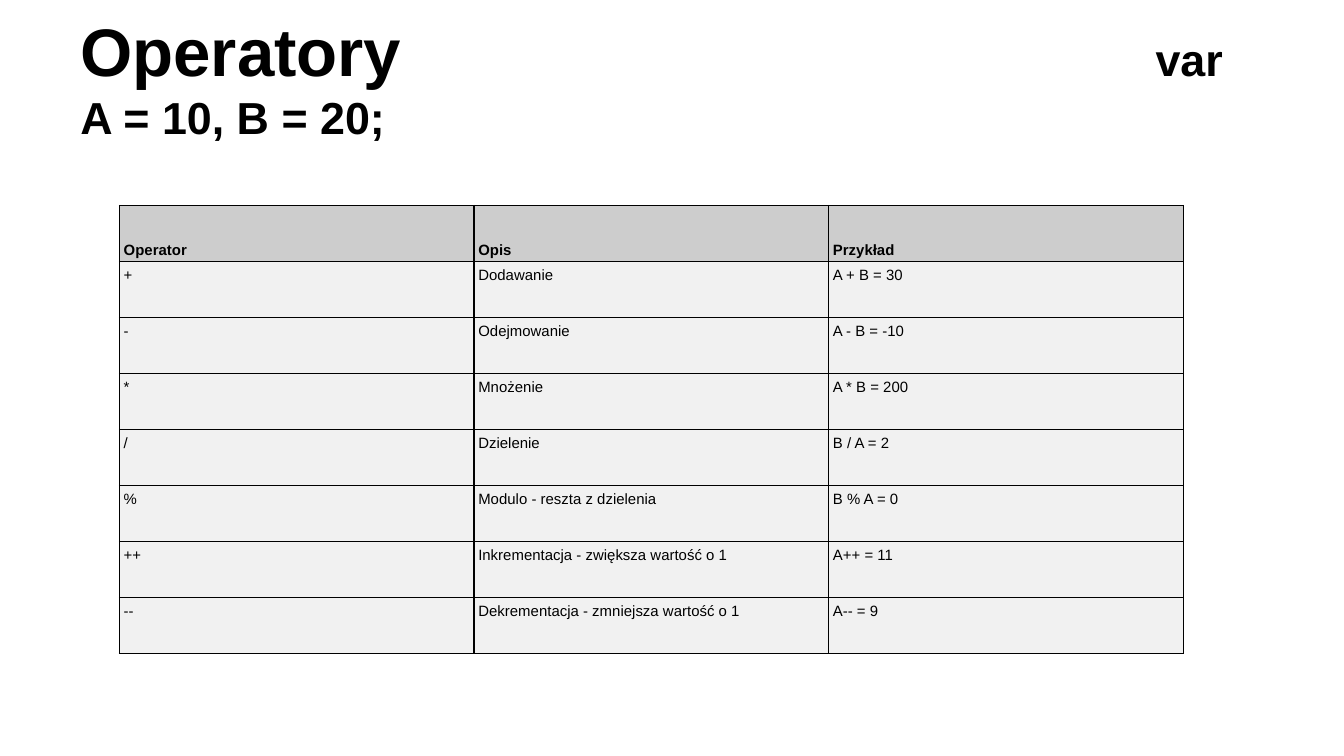
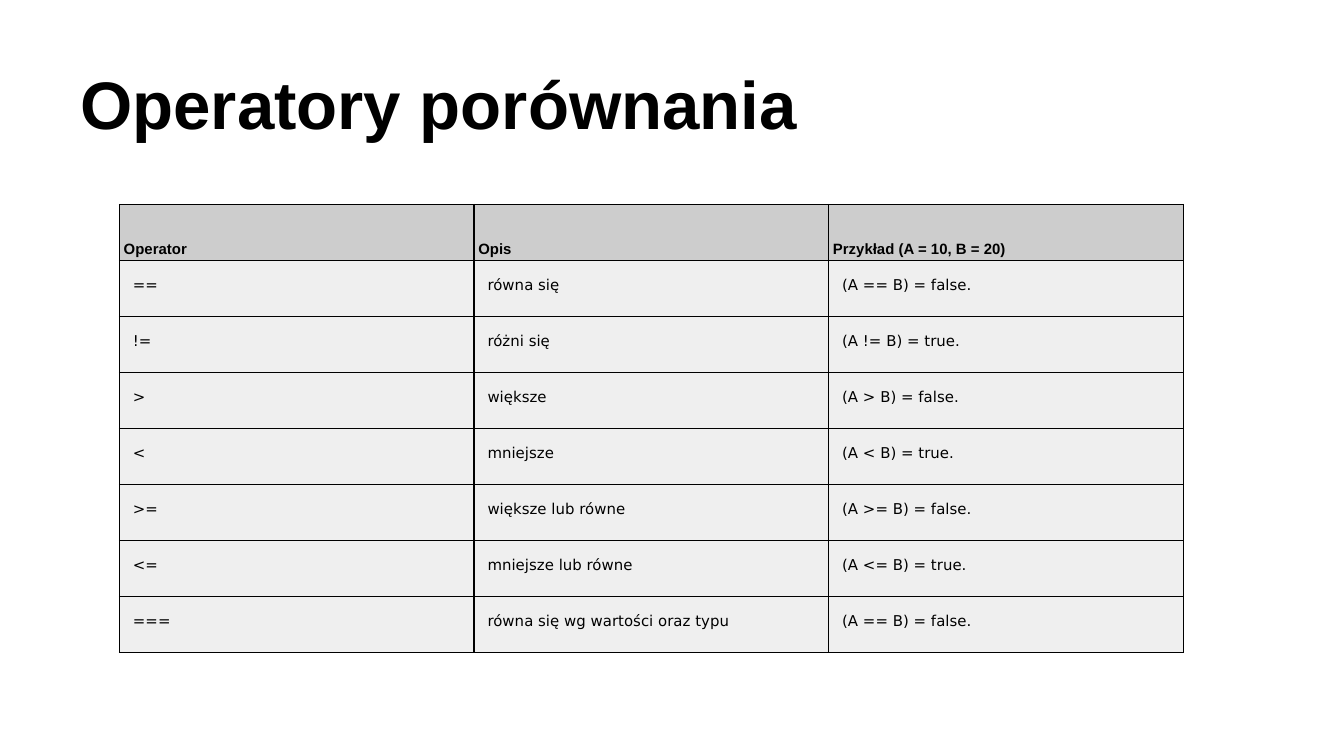
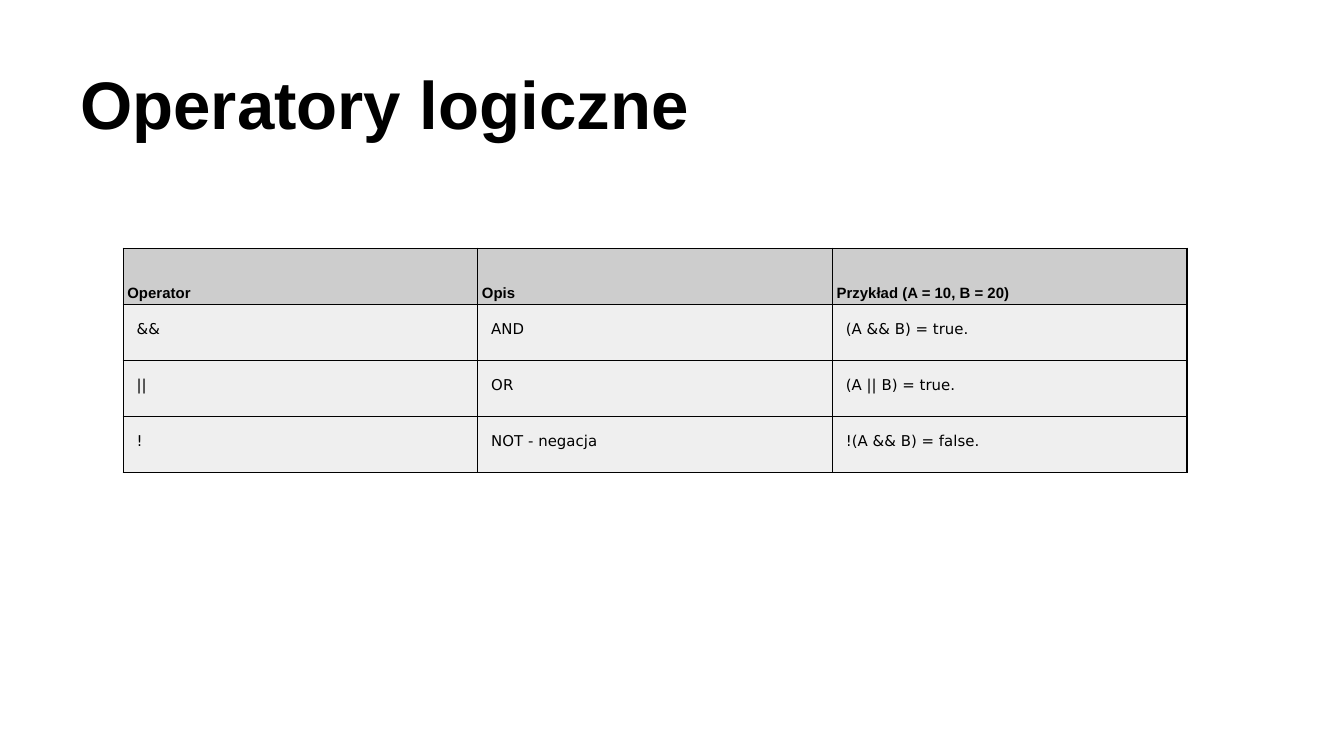
from lxml import etree
from pptx import Presentation
from pptx.dml.color import RGBColor
from pptx.enum import text
from pptx.oxml import ns
from pptx.util import Pt

# Content: title runs as (text, size), table position, header, rows
SLIDES = [
    dict(
        title=[("Operatory \t", 36), ("var A = 10, B = 20;", 24)],
        at=(64, 110), body="plain",
        header=("Operator", "Opis", "Przykład"),
        rows=[
            ("+", "Dodawanie", "A + B = 30"),
            ("-", "Odejmowanie", "A - B = -10"),
            ("*", "Mnożenie", "A * B = 200"),
            ("/", "Dzielenie", "B / A = 2"),
            ("%", "Modulo - reszta z dzielenia", "B % A = 0"),
            ("++", "Inkrementacja - zwiększa wartość o 1", "A++ = 11"),
            ("--", "Dekrementacja - zmniejsza wartość o 1", "A-- = 9"),
        ],
    ),
    dict(
        title=[("Operatory porównania", 36)],
        at=(64, 109.5), body="padded",
        header=("Operator", "Opis", "Przykład (A = 10, B = 20)"),
        rows=[
            ("==", "równa się", "(A == B) = false."),
            ("!=", "różni się", "(A != B) = true."),
            (">", "większe", "(A > B) = false."),
            ("<", "mniejsze", "(A < B) = true."),
            (">=", "większe lub równe", "(A >= B) = false."),
            ("<=", "mniejsze lub równe", "(A <= B) = true."),
            ("===", "równa się wg wartości oraz typu", "(A == B) = false."),
        ],
    ),
    dict(
        title=[("Operatory logiczne", 36)],
        at=(66, 133), body="padded",
        header=("Operator", "Opis", "Przykład (A = 10, B = 20)"),
        rows=[
            ("&&", "AND", "(A && B) = true."),
            ("||", "OR", "(A || B) = true."),
            ("!", "NOT - negacja", "!(A && B) = false."),
        ],
    ),
]

# Shared look
COLORS = dict(ink="000000", header="CDCDCD", plain="F1F1F1", padded="EFEFEF")
TOP, BOTTOM = text.MSO_ANCHOR.TOP, text.MSO_ANCHOR.BOTTOM
# Cell kinds: font, bold, anchor, side inset, top and bottom inset
CELLS = dict(
    header=("Arial", True, BOTTOM, 2.25, 1.5),
    plain=("Arial", False, TOP, 2.25, 1.5),
    padded=("DejaVu Sans", False, TOP, 7.2, 7.2),
)
COL_W, ROW_H = 190, 30
TITLE_BOX = (36, 16.5, 648, 67.5)
TITLE_TAB = 576


def rgb(name):
    return RGBColor.from_string(COLORS[name])


def add_run(p, words, size, font, bold):
    r = p.add_run()
    r.text = words
    r.font.size, r.font.name, r.font.bold = Pt(size), font, bold
    r.font.color.rgb = rgb("ink")


def set_insets(box, side, end):
    box.margin_left = box.margin_right = Pt(side)
    box.margin_top = box.margin_bottom = Pt(end)


def add_title(s, runs):
    tf = s.shapes.add_textbox(*map(Pt, TITLE_BOX)).text_frame
    tf.word_wrap = True
    tf.vertical_anchor = BOTTOM
    set_insets(tf, 7.2, 7.2)
    p = tf.paragraphs[0]
    tabs = etree.SubElement(p._p.get_or_add_pPr(), ns.qn("a:tabLst"))
    etree.SubElement(tabs, ns.qn("a:tab"), pos=str(Pt(TITLE_TAB)), algn="l")
    for words, size in runs:
        add_run(p, words, size, "Arial", True)


def add_borders(cell):
    # Border lines must come before the fill
    tcPr = cell._tc.get_or_add_tcPr()
    for i, side in enumerate("LRTB"):
        ln = etree.Element(ns.qn(f"a:ln{side}"), w=str(Pt(0.75)))
        fill = etree.SubElement(ln, ns.qn("a:solidFill"))
        etree.SubElement(fill, ns.qn("a:srgbClr"), val=COLORS["ink"])
        tcPr.insert(i, ln)


def fill_cell(cell, words, kind):
    font, bold, anchor, side, end = CELLS[kind]
    cell.fill.solid()
    cell.fill.fore_color.rgb = rgb(kind)
    cell.vertical_anchor = anchor
    set_insets(cell, side, end)
    add_borders(cell)
    p = cell.text_frame.paragraphs[0]
    p.line_spacing = 1.15
    add_run(p, words, 8, font, bold)


def add_operators(s, at, header, rows, body):
    lines = [header] + rows
    n_rows, n_cols = len(lines), len(header)
    table = s.shapes.add_table(n_rows, n_cols, *map(Pt, at),
                               Pt(n_cols * COL_W), Pt(n_rows * ROW_H)).table
    table.first_row = table.horz_banding = False
    for i, line in enumerate(lines):
        for j, words in enumerate(line):
            fill_cell(table.cell(i, j), words, body if i else "header")


def main():
    prs = Presentation()
    prs.slide_width, prs.slide_height = Pt(720), Pt(405)
    for page in SLIDES:
        s = prs.slides.add_slide(prs.slide_layouts[6])
        add_title(s, page["title"])
        add_operators(s, page["at"], page["header"], page["rows"], page["body"])
    prs.save("out.pptx")


if __name__ == "__main__":
    main()
